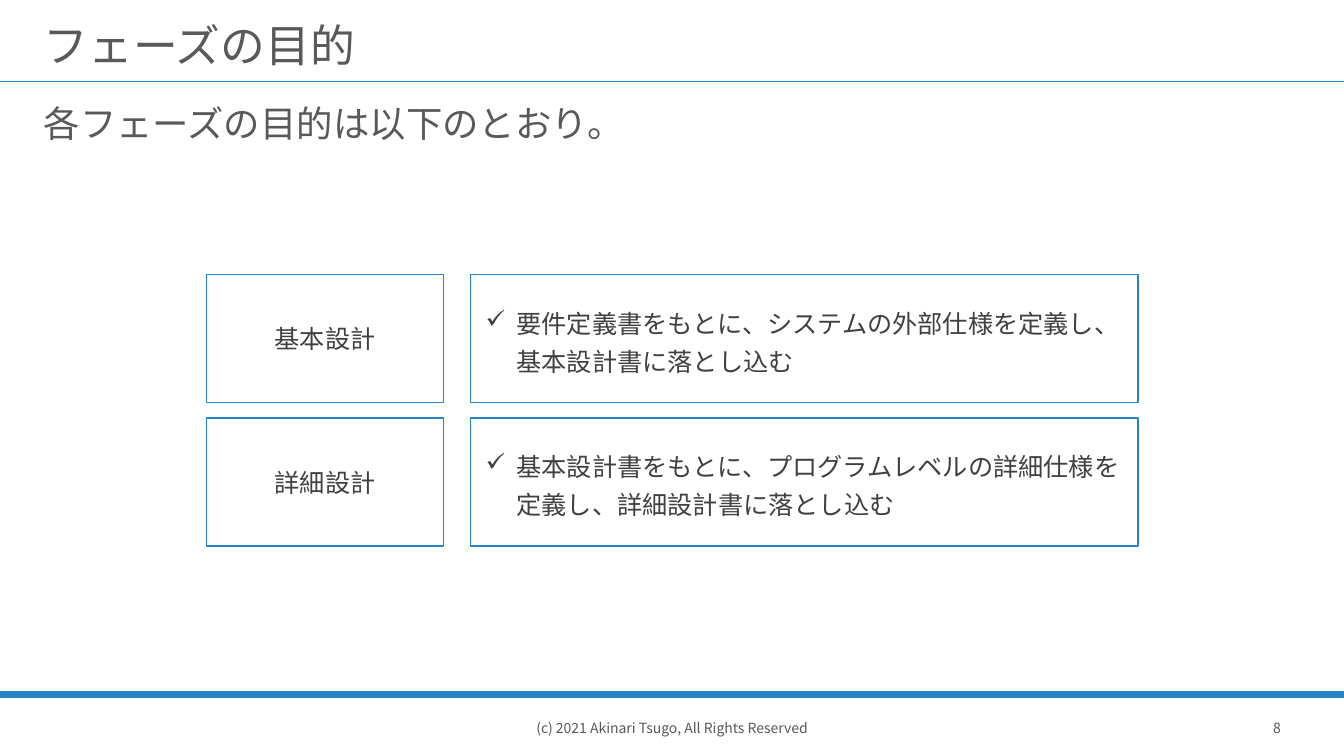
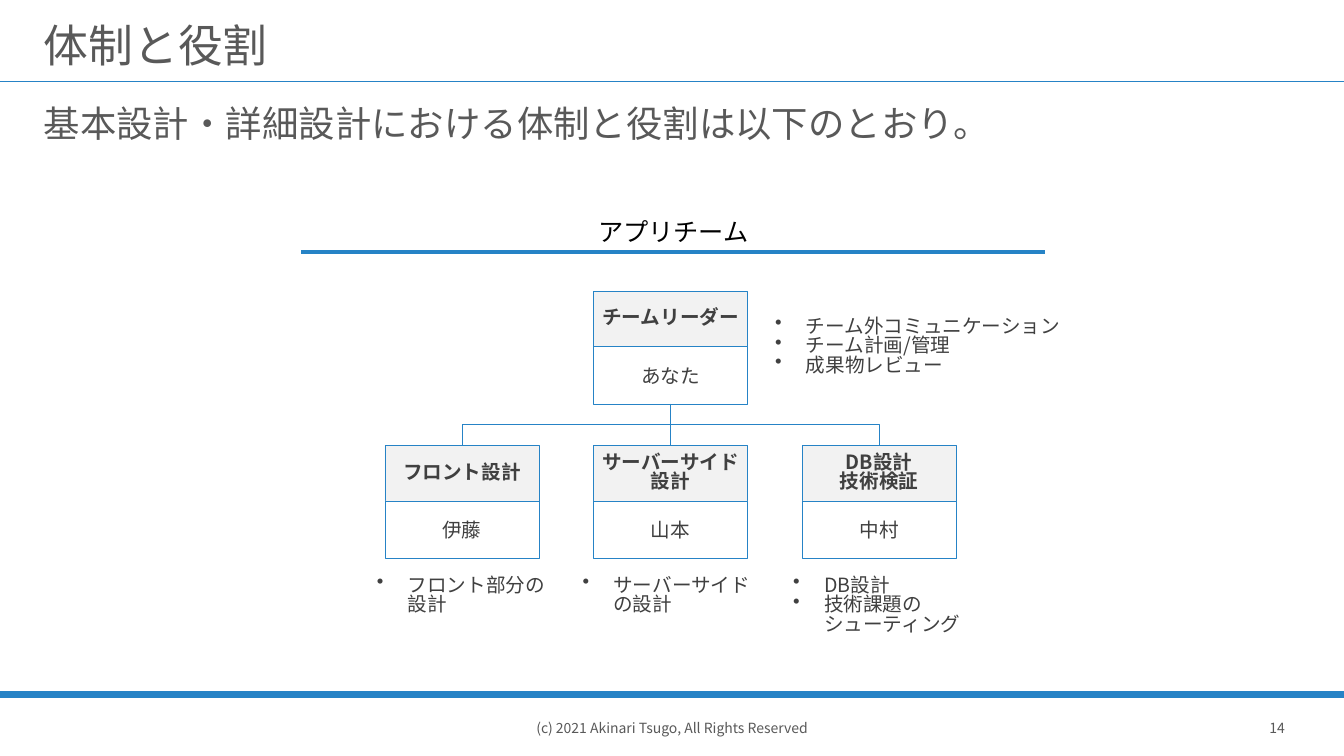
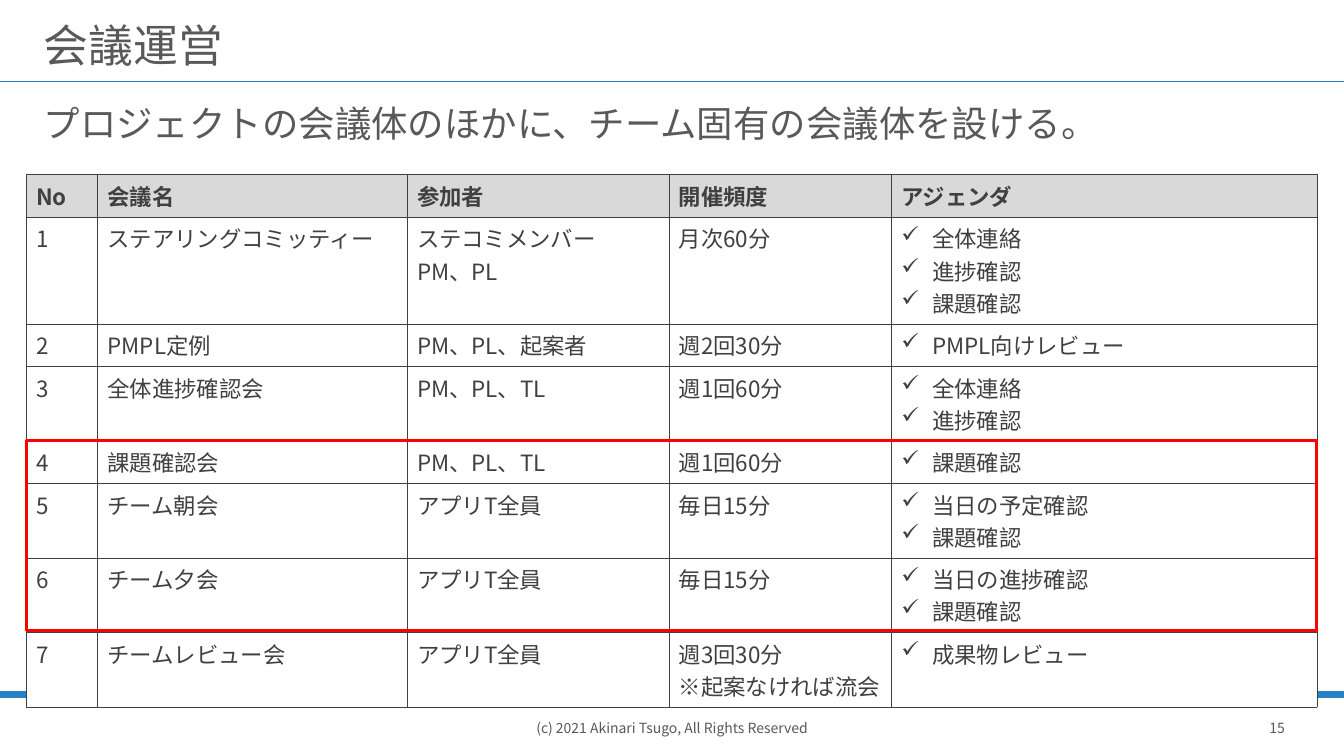
"""Build three project-plan slides: phase goals, team structure and meetings."""
from copy import deepcopy
from dataclasses import dataclass, replace
from typing import Any, Optional, Sequence

from lxml.etree import SubElement
from pptx import Presentation
from pptx.dml.color import RGBColor
from pptx.enum.shapes import MSO_CONNECTOR, MSO_SHAPE
from pptx.enum.text import MSO_ANCHOR, MSO_AUTO_SIZE, PP_ALIGN
from pptx.oxml.ns import qn
from pptx.util import Pt

FONT = "Noto Sans CJK JP"
BLUE = RGBColor(0x26, 0x83, 0xC6)
RED = RGBColor(0xFF, 0x00, 0x00)
WHITE = RGBColor(0xFF, 0xFF, 0xFF)
BLACK = RGBColor(0x00, 0x00, 0x00)
PALE_GRAY = RGBColor(0xF2, 0xF2, 0xF2)
HEADER_GRAY = RGBColor(0xD9, 0xD9, 0xD9)
TEXT_GRAY = RGBColor(0x59, 0x59, 0x59)
DARK_GRAY = RGBColor(0x40, 0x40, 0x40)

SLIDE_WIDTH, SLIDE_HEIGHT = 960, 540
FOOTER = "(c) 2021 Akinari Tsugo, All Rights Reserved"


@dataclass(frozen=True)
class Box:
    left: float
    top: float
    width: float
    height: float

    def lengths(self) -> tuple:
        return Pt(self.left), Pt(self.top), Pt(self.width), Pt(self.height)


@dataclass(frozen=True)
class TextStyle:
    size: float
    color: RGBColor = DARK_GRAY
    bold: bool = False
    alignment: PP_ALIGN = PP_ALIGN.LEFT
    line_spacing: float = 1.0
    bullet: Optional[str] = None
    anchor: MSO_ANCHOR = MSO_ANCHOR.MIDDLE
    insets: tuple = (7.2, 3.6, 7.2, 3.6)
    wrap: bool = True
    auto_size: MSO_AUTO_SIZE = MSO_AUTO_SIZE.NONE


@dataclass(frozen=True)
class Phase:
    name: str
    goal: str


@dataclass(frozen=True)
class Member:
    role: str
    name: str
    left: float
    top: float
    duties: Sequence[str]
    duties_box: Box


@dataclass(frozen=True)
class Meeting:
    name: str
    attendees: str
    frequency: Sequence[str]
    agenda: Sequence[str]


TITLE = TextStyle(32, TEXT_GRAY, line_spacing=0.9, insets=(7.2, 14.4, 7.2, 3.6))
LEAD = TextStyle(26, TEXT_GRAY, line_spacing=0.9, anchor=MSO_ANCHOR.TOP)
SMALL = TextStyle(10, TEXT_GRAY, alignment=PP_ALIGN.CENTER, wrap=False)
PHASE_NAME = TextStyle(18, alignment=PP_ALIGN.CENTER)
PHASE_GOAL = TextStyle(18, line_spacing=1.25, bullet="✓", insets=(11, 5.8, 11, 5.8))
TEAM = TextStyle(18, BLACK, alignment=PP_ALIGN.CENTER, anchor=MSO_ANCHOR.TOP,
                 auto_size=MSO_AUTO_SIZE.SHAPE_TO_FIT_TEXT)
ROLE = TextStyle(14, bold=True, alignment=PP_ALIGN.CENTER, line_spacing=0.83,
                 insets=(5.5, 2.9, 5.5, 2.9))
PERSON = TextStyle(14, alignment=PP_ALIGN.CENTER, insets=(8.6, 5.8, 8.6, 5.8))
DUTY = TextStyle(14, line_spacing=0.83, bullet="•", anchor=MSO_ANCHOR.TOP,
                 insets=(8.6, 5.8, 8.6, 5.8))
CELL = TextStyle(16, anchor=MSO_ANCHOR.TOP)
CELL_HEADER = TextStyle(16, bold=True)
CELL_AGENDA = replace(CELL, bullet="✓")

PHASES = (
    Phase("基本設計", "要件定義書をもとに、システムの外部仕様を定義し、基本設計書に落とし込む"),
    Phase("詳細設計", "基本設計書をもとに、プログラムレベルの詳細仕様を定義し、詳細設計書に落とし込む"),
)

CARD_WIDTH, ROLE_HEIGHT, PERSON_HEIGHT = 110, 39.6, 41
MEMBER_LEFT, MEMBER_STEP, MEMBER_TOP = 275, 149, 318.2
DUTIES_TOP, DUTIES_WIDTH, DUTIES_HEIGHT = 406, 142.6, 55.4
LEADER = Member("チームリーダー", "あなた", MEMBER_LEFT + MEMBER_STEP, 208,
                ("チーム外コミュニケーション", "チーム計画/管理", "成果物レビュー"),
                Box(545, 221, 226, DUTIES_HEIGHT))
MEMBERS = tuple(
    Member(role, name, MEMBER_LEFT + index * MEMBER_STEP, MEMBER_TOP, duties,
           Box(duties_left, DUTIES_TOP, DUTIES_WIDTH, DUTIES_HEIGHT))
    for index, (role, name, duties_left, duties) in enumerate((
        ("フロント設計", "伊藤", 260.6, ("フロント部分の設計",)),
        ("サーバーサイド\n設計", "山本", 407.5, ("サーバーサイドの設計",)),
        ("DB設計\n技術検証", "中村", 558, ("DB設計", "技術課題のシューティング")),
    ))
)

HEADINGS = ("No", "会議名", "参加者", "開催頻度", "アジェンダ")
COLUMN_WIDTHS = (51, 221, 187, 159, 304)
ROW_HEIGHTS = (26, 61, 19, 33, 19, 19, 19, 19)
MEETINGS = (
    Meeting("ステアリングコミッティー", "ステコミメンバー\nPM、PL", ("月次60分",),
            ("全体連絡", "進捗確認", "課題確認")),
    Meeting("PMPL定例", "PM、PL、起案者", ("週2回30分",), ("PMPL向けレビュー",)),
    Meeting("全体進捗確認会", "PM、PL、TL", ("週1回60分",), ("全体連絡", "進捗確認")),
    Meeting("課題確認会", "PM、PL、TL", ("週1回60分",), ("課題確認",)),
    Meeting("チーム朝会", "アプリT全員", ("毎日15分",), ("当日の予定確認", "課題確認")),
    Meeting("チーム夕会", "アプリT全員", ("毎日15分",), ("当日の進捗確認", "課題確認")),
    Meeting("チームレビュー会", "アプリT全員", ("週3回30分", "※起案なければ流会"),
            ("成果物レビュー",)),
)


def set_values(target: Any, values: dict) -> None:
    """Set each named attribute on the target."""
    for name, value in values.items():
        setattr(target, name, value)


def write_lines(frame: Any, lines: Sequence[str], style: TextStyle) -> None:
    """Write one formatted paragraph per line."""
    for index, line in enumerate(lines):
        paragraph = frame.paragraphs[0] if index == 0 else frame.add_paragraph()
        paragraph.text = line
        properties = paragraph._p.get_or_add_pPr()
        indent = Pt(22) if style.bullet else 0
        properties.set("marL", str(indent))
        properties.set("indent", str(-indent))
        if style.bullet:
            SubElement(properties, qn("a:buChar"), char=style.bullet)
        else:
            SubElement(properties, qn("a:buNone"))
        set_values(paragraph, {"alignment": style.alignment, "space_before": Pt(0),
                               "line_spacing": style.line_spacing})
        for run in paragraph.runs:
            set_values(run.font, {"name": FONT, "size": Pt(style.size), "bold": style.bold})
            run.font.color.rgb = style.color
            SubElement(run._r.get_or_add_rPr(), qn("a:ea"), typeface=FONT)
        for line_break in paragraph._p.findall(qn("a:br")):
            line_break.append(deepcopy(paragraph.runs[0]._r.rPr))


def fill_frame(frame: Any, lines: Sequence[str], style: TextStyle) -> None:
    """Format a text frame and write its lines."""
    left, top, right, bottom = (Pt(inset) for inset in style.insets)
    set_values(frame, {"word_wrap": style.wrap, "auto_size": style.auto_size,
                       "vertical_anchor": style.anchor, "margin_left": left,
                       "margin_top": top, "margin_right": right, "margin_bottom": bottom})
    write_lines(frame, lines, style)


def add_text(slide: Any, box: Box, text: str, style: TextStyle) -> None:
    """Add a text box."""
    fill_frame(slide.shapes.add_textbox(*box.lengths()).text_frame, (text,), style)


def add_rectangle(slide: Any, box: Box, fill: Optional[RGBColor] = WHITE,
                  line: Optional[RGBColor] = BLUE, line_width: float = 1) -> Any:
    """Add a plain rectangle; None leaves out its fill or line."""
    shape = slide.shapes.add_shape(MSO_SHAPE.RECTANGLE, *box.lengths())
    shape.shadow.inherit = False
    for format_fill, color in ((shape.fill, fill), (shape.line.fill, line)):
        if color is None:
            format_fill.background()
        else:
            format_fill.solid()
            format_fill.fore_color.rgb = color
    if line is not None:
        shape.line.width = Pt(line_width)
    return shape


def add_line(slide: Any, start: tuple, end: tuple, width: float,
             kind: MSO_CONNECTOR = MSO_CONNECTOR.STRAIGHT) -> Any:
    """Add a blue connector without shadow."""
    connector = slide.shapes.add_connector(kind, *(Pt(value) for value in start + end))
    connector.line.color.rgb = BLUE
    connector.line.width = Pt(width)
    SubElement(connector._element.spPr, qn("a:effectLst"))
    return connector


def add_page(presentation: Any, title: str, lead: str, number: int) -> Any:
    """Add a slide with title, lead sentence, bands and footer."""
    slide = presentation.slides.add_slide(presentation.slide_layouts[1])
    for y, width in ((58.3, 1), (496, 4.5)):
        add_line(slide, (0, y), (SLIDE_WIDTH, y), width)
    add_text(slide, Box(888.5, 500.4, 47.5, 39.6), str(number), SMALL)
    add_text(slide, Box(332.8, 500.4, 294.4, 39.6), FOOTER, SMALL)
    for placeholder, text, box, style in (
            (slide.shapes.title, title, Box(24, 4.3, 912, 49.7), TITLE),
            (slide.placeholders[1], lead, Box(24, 72, 912, 52.6), LEAD)):
        set_values(placeholder, dict(zip(("left", "top", "width", "height"), box.lengths())))
        fill_frame(placeholder.text_frame, (text,), style)
    return slide


def add_phases(slide: Any) -> None:
    """Draw one row per phase: its name and its goal."""
    for index, phase in enumerate(PHASES):
        top = 196 + index * 102.6
        for left, width, text, style in ((336, 477, phase.goal, PHASE_GOAL),
                                         (147.6, 169.2, phase.name, PHASE_NAME)):
            shape = add_rectangle(slide, Box(left, top, width, 91.4))
            fill_frame(shape.text_frame, (text,), style)


def add_member(slide: Any, member: Member) -> tuple:
    """Draw a member card with duties; return its role and person boxes."""
    role = add_rectangle(slide, Box(member.left, member.top, CARD_WIDTH, ROLE_HEIGHT),
                         PALE_GRAY, line_width=0.25)
    person = add_rectangle(
        slide, Box(member.left, member.top + ROLE_HEIGHT, CARD_WIDTH, PERSON_HEIGHT),
        line_width=0.25)
    duties = add_rectangle(slide, member.duties_box, line=None)
    fill_frame(role.text_frame, (member.role,), ROLE)
    fill_frame(person.text_frame, (member.name,), PERSON)
    fill_frame(duties.text_frame, member.duties, DUTY)
    return role, person


def join_cards(slide: Any, leader: Any, member: Any) -> None:
    """Join the leader's bottom to a member's top, bending when not aligned."""
    start_x = leader.left + leader.width // 2
    start_y = leader.top + leader.height
    end_x = member.left + member.width // 2
    aligned = start_x == end_x
    kind = MSO_CONNECTOR.STRAIGHT if aligned else MSO_CONNECTOR.ELBOW
    connector = add_line(slide, (0, 0), (1, 1), 0.5, kind)
    connector.begin_connect(leader, 2)
    connector.end_connect(member, 0)
    if aligned:
        return
    drop, span = member.top - start_y, abs(end_x - start_x)
    set_values(connector, {"left": (start_x + end_x - drop) // 2,
                           "top": (start_y + member.top - span) // 2,
                           "width": drop, "height": span})
    rightward = end_x > start_x
    transform = connector._element.spPr.find(qn("a:xfrm"))
    for name, value in {"rot": "16200000" if rightward else "5400000",
                        "flipH": "1" if rightward else "0", "flipV": "0"}.items():
        transform.set(name, value)


def add_team(slide: Any) -> None:
    """Draw the team heading and the organisation chart."""
    _, leader = add_member(slide, LEADER)
    roles = [add_member(slide, member)[0] for member in MEMBERS]
    for role in roles:
        join_cards(slide, leader, role)
    add_text(slide, Box(251.3, 151.2, 459.4, 28.8), "アプリチーム", TEAM)
    add_line(slide, (215.3, 180), (746.6, 180), 2.25)


def fill_cell(cell: Any, lines: Sequence[str], style: TextStyle, fill: RGBColor) -> None:
    """Give a table cell its borders, fill and text."""
    properties = cell._tc.get_or_add_tcPr()
    for side in ("a:lnL", "a:lnR", "a:lnT", "a:lnB"):
        border = SubElement(properties, qn(side), w=str(Pt(0.25)))
        SubElement(SubElement(border, qn("a:solidFill")), qn("a:srgbClr"), val=str(DARK_GRAY))
    cell.fill.solid()
    cell.fill.fore_color.rgb = fill
    cell.vertical_anchor = style.anchor
    write_lines(cell.text_frame, lines, style)


def add_meetings(slide: Any) -> None:
    """Draw the meeting table and the frame around the team meetings."""
    left, width = 18.7, sum(COLUMN_WIDTHS)
    box = Box(left, 124.6, width, sum(ROW_HEIGHTS))
    table = slide.shapes.add_table(len(ROW_HEIGHTS), len(HEADINGS), *box.lengths()).table
    set_values(table, {"first_row": False, "horz_banding": False})
    for column, column_width in zip(table.columns, COLUMN_WIDTHS):
        column.width = Pt(column_width)
    for row, height in zip(table.rows, ROW_HEIGHTS):
        row.height = Pt(height)
    for index, heading in enumerate(HEADINGS):
        fill_cell(table.cell(0, index), (heading,), CELL_HEADER, HEADER_GRAY)
    for number, meeting in enumerate(MEETINGS, 1):
        contents = ((str(number),), (meeting.name,), (meeting.attendees,),
                    meeting.frequency, meeting.agenda)
        for index, lines in enumerate(contents):
            style = CELL_AGENDA if lines is meeting.agenda else CELL
            fill_cell(table.cell(number, index), lines, style, WHITE)
    add_rectangle(slide, Box(left, 314.6, width, 136), None, RED, 2.25)


def main() -> None:
    """Build and save the presentation."""
    presentation = Presentation()
    set_values(presentation, {"slide_width": Pt(SLIDE_WIDTH), "slide_height": Pt(SLIDE_HEIGHT)})
    for title, lead, number, add_content in (
            ("フェーズの目的", "各フェーズの目的は以下のとおり。", 8, add_phases),
            ("体制と役割", "基本設計・詳細設計における体制と役割は以下のとおり。", 14, add_team),
            ("会議運営", "プロジェクトの会議体のほかに、チーム固有の会議体を設ける。", 15,
             add_meetings)):
        add_content(add_page(presentation, title, lead, number))
    presentation.save("out.pptx")


if __name__ == "__main__":
    main()
